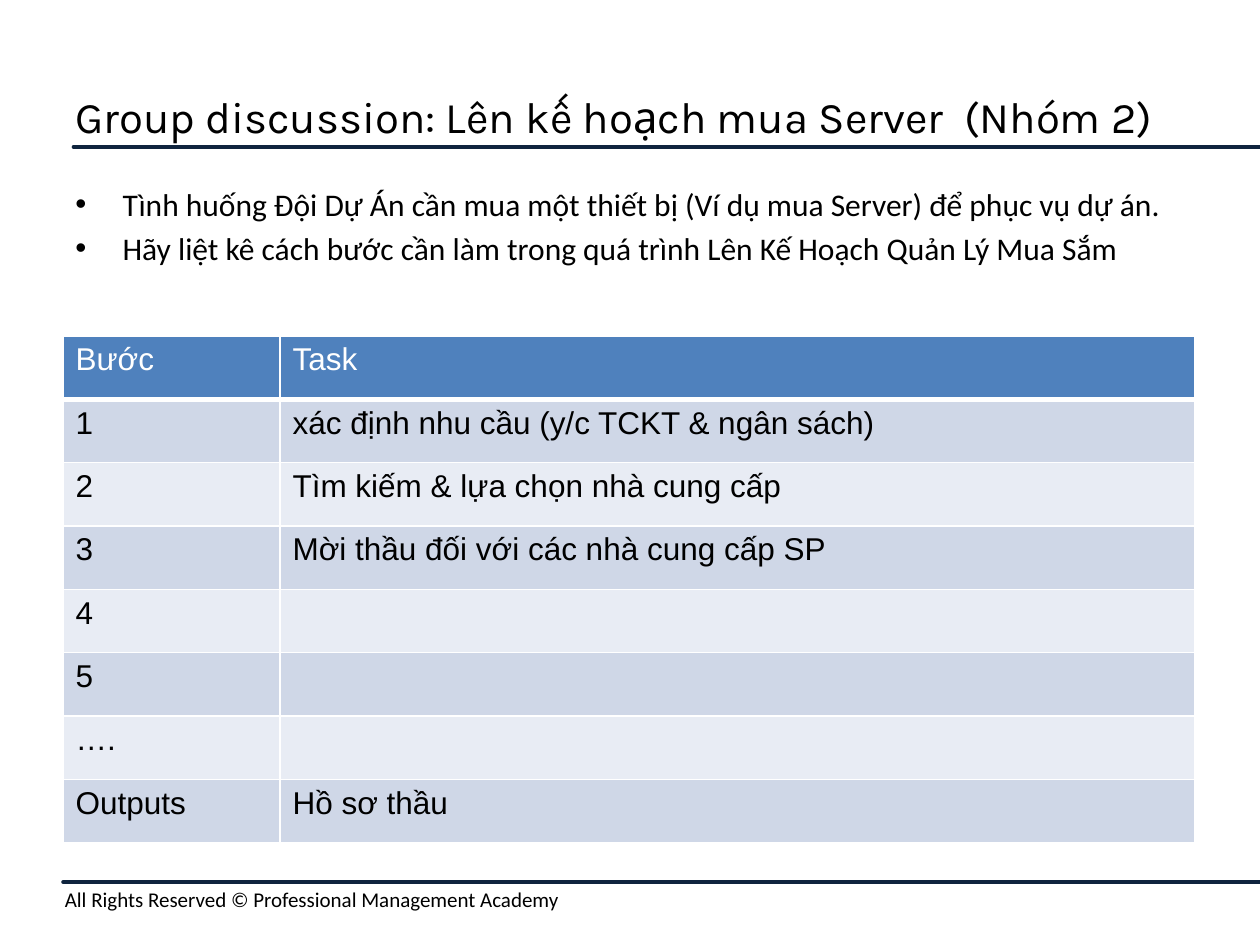
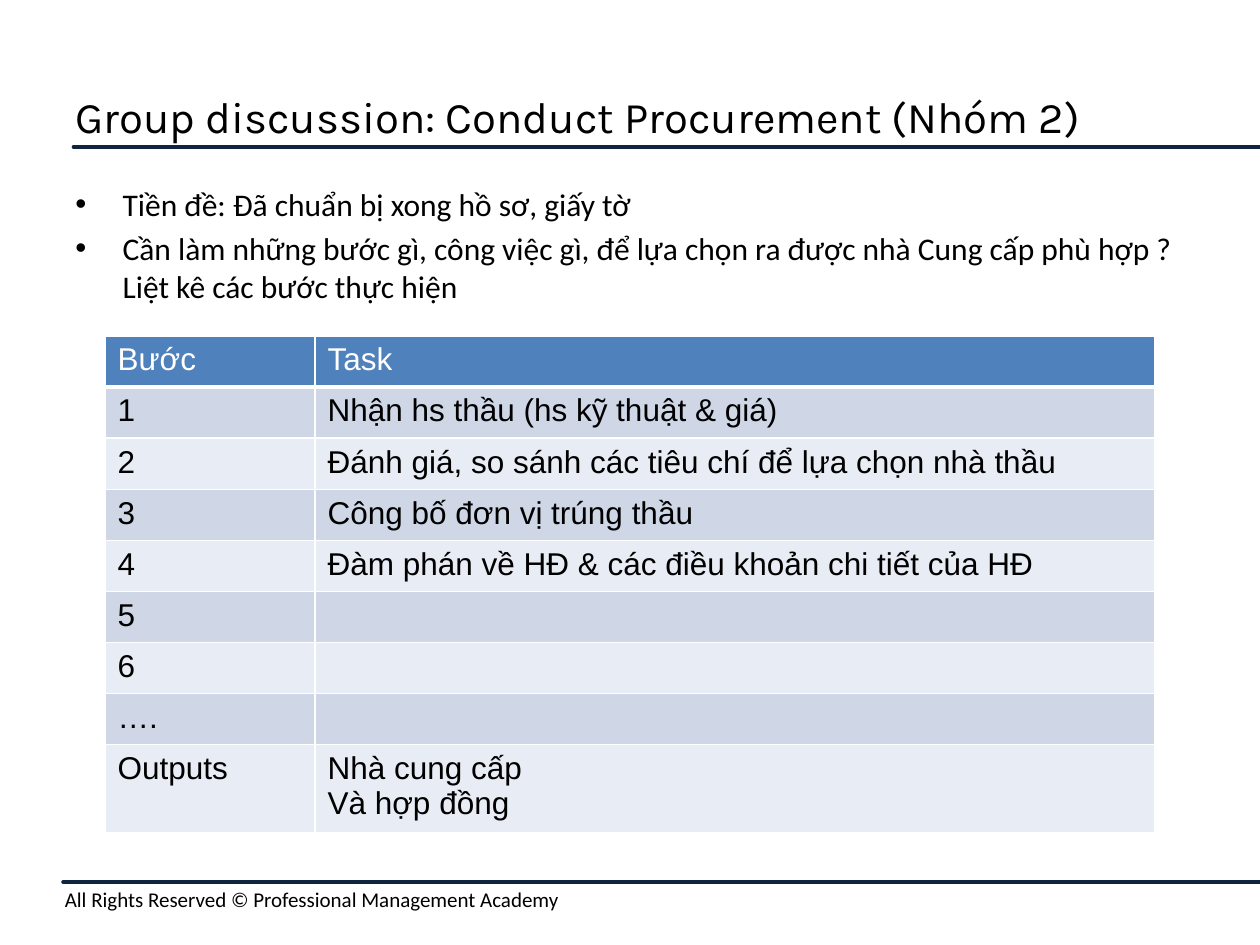
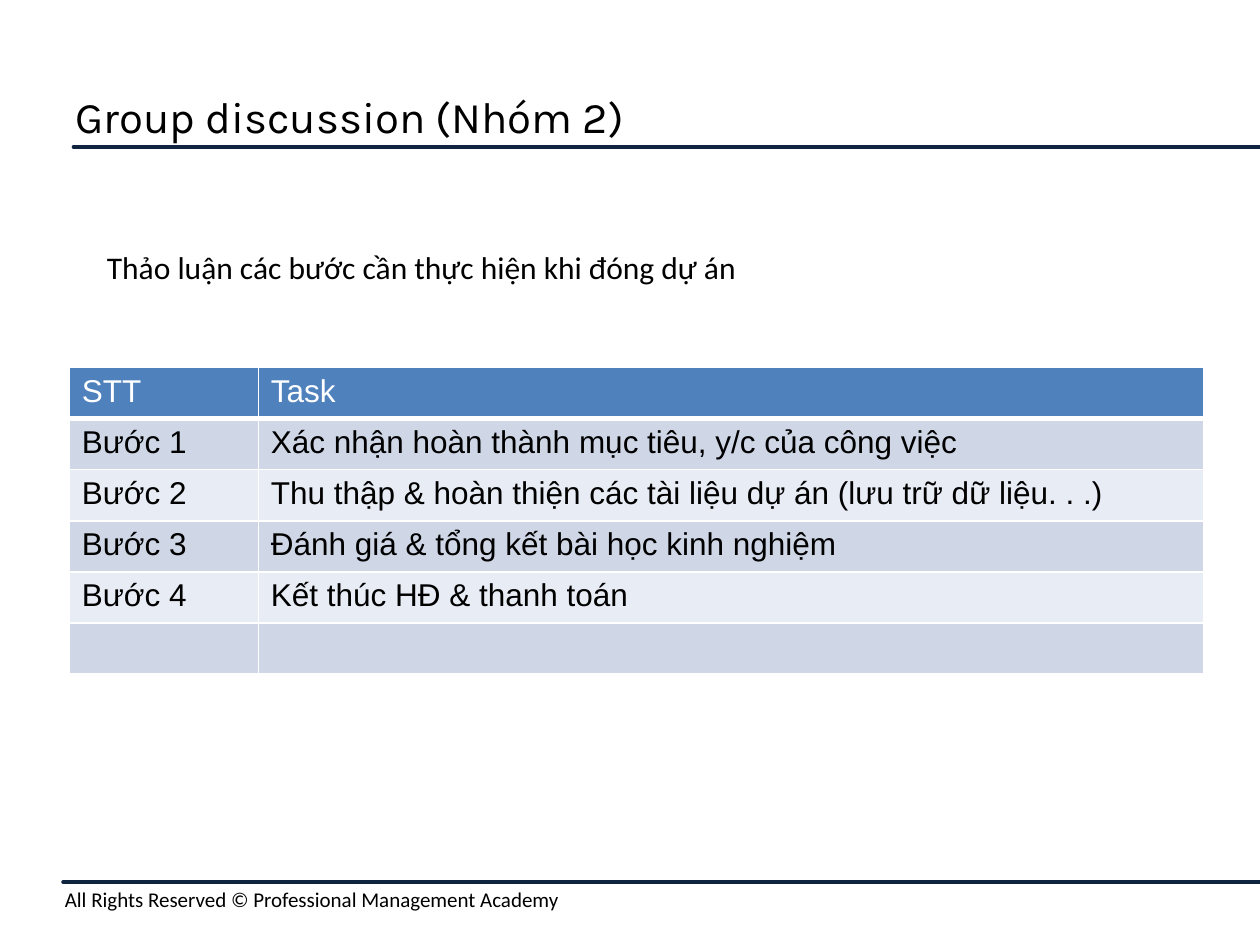
from lxml.etree import SubElement
from pptx import Presentation
from pptx.dml.color import RGBColor
from pptx.enum.shapes import MSO_CONNECTOR as Connector
from pptx.enum.text import MSO_ANCHOR as Anchor
from pptx.oxml.ns import qn
from pptx.util import Pt

SLIDE_WIDTH, SLIDE_HEIGHT = 720, 540
NAVY, BLACK, WHITE = "0F243E", "000000", "FFFFFF"
HEADER_BLUE, BANDS = "4F81BD", ("CFD7E7", "E8ECF4")
TITLE_STYLE = {"name": "Karla", "size": Pt(25)}
BODY_STYLE = {"name": "Calibri", "size": Pt(18)}
FOOTER_STYLE = {"name": "Calibri", "size": Pt(12)}
CELL_STYLE = {"name": "Arial", "size": Pt(18), "bold": False}
FOOTER = "All Rights Reserved © Professional Management Academy"


def rgb(code):
    """Turn a hex string into a colour."""
    return RGBColor.from_string(code)


def style_text(frame, style, color=BLACK):
    """Apply font values and a colour to every run."""
    for paragraph in frame.paragraphs:
        for run in paragraph.runs:
            for key, value in style.items():
                setattr(run.font, key, value)
            run.font.color.rgb = rgb(color)


def add_text(slide, text, place, style, anchor=Anchor.TOP):
    """Add wrapped text and return its frame."""
    frame = slide.shapes.add_textbox(*map(Pt, place)).text_frame
    frame.word_wrap = True
    frame.vertical_anchor = anchor
    frame.text = text
    style_text(frame, style)
    return frame


def add_rule(slide, left, y):
    """Draw a navy rule running to the right edge of the slide."""
    rule = slide.shapes.add_connector(
        Connector.STRAIGHT, Pt(left), Pt(y), Pt(SLIDE_WIDTH), Pt(y))
    rule.line.color.rgb = rgb(NAVY)
    rule.line.width = Pt(2)
    properties = rule._element.spPr
    properties.find(qn("a:ln")).set("cap", "rnd")
    SubElement(properties, qn("a:effectLst"))


def add_bullets(slide, items):
    """Add the bulleted introduction under the title."""
    frame = add_text(slide, "\n".join(items), (36, 102, 648, 380), BODY_STYLE)
    for index, paragraph in enumerate(frame.paragraphs):
        properties = paragraph._p.get_or_add_pPr()
        properties.set("marL", str(Pt(27)))
        properties.set("indent", str(-Pt(27)))
        SubElement(properties, qn("a:buFont"), typeface="Arial")
        SubElement(properties, qn("a:buChar"), char="•")
        if index:
            paragraph.space_before = Pt(3.6)


def add_borders(cell, row):
    """Give a cell white borders, thicker between header and body."""
    properties = cell._tc.get_or_add_tcPr()
    widths = {"lnL": 1, "lnR": 1, "lnT": 3 if row == 1 else 1,
              "lnB": 3 if row == 0 else 1}
    for side, width in widths.items():
        border = SubElement(properties, qn(f"a:{side}"), w=str(Pt(width)))
        fill = SubElement(border, qn("a:solidFill"))
        SubElement(fill, qn("a:srgbClr"), val=WHITE)


def add_steps(slide, rows, left, top, widths, row_height):
    """Add the banded table of steps and tasks."""
    table = slide.shapes.add_table(
        len(rows), len(widths), Pt(left), Pt(top),
        Pt(sum(widths)), Pt(row_height * len(rows))).table
    for column, width in zip(table.columns, widths):
        column.width = Pt(width)
    for r, texts in enumerate(rows):
        for c, text in enumerate(texts):
            cell = table.cell(r, c)
            add_borders(cell, r)
            cell.fill.solid()
            cell.fill.fore_color.rgb = rgb(BANDS[(r - 1) % 2] if r else HEADER_BLUE)
            cell.text_frame.text = text
            style_text(cell.text_frame, CELL_STYLE, BLACK if r else WHITE)


def add_slide(deck, title):
    """Add a slide with the shared rules, footer and title."""
    slide = deck.slides.add_slide(deck.slide_layouts[6])
    add_rule(slide, 42, 84)
    add_rule(slide, 36, 504)
    add_text(slide, FOOTER, (30, 503, 690, 22), FOOTER_STYLE)
    add_text(slide, title, (36, 36, 648, 60), TITLE_STYLE, Anchor.MIDDLE)
    return slide


def main():
    """Build the three group discussion slides."""
    deck = Presentation()
    deck.slide_width, deck.slide_height = Pt(SLIDE_WIDTH), Pt(SLIDE_HEIGHT)

    planning = add_slide(deck, "Group discussion: Lên kế hoạch mua Server  (Nhóm 2)")
    add_bullets(planning, [
        "Tình huống Đội Dự Án cần mua một thiết bị (Ví dụ mua Server) để phục vụ dự án.",
        "Hãy liệt kê cách bước cần làm trong quá trình Lên Kế Hoạch Quản Lý Mua Sắm",
    ])
    add_steps(planning, [
        ("Bước", "Task"),
        ("1", "xác định nhu cầu (y/c TCKT & ngân sách)"),
        ("2", "Tìm kiếm & lựa chọn nhà cung cấp"),
        ("3", "Mời thầu đối với các nhà cung cấp SP"),
        ("4", ""),
        ("5", ""),
        ("….", ""),
        ("Outputs", "Hồ sơ thầu"),
    ], 36, 192, (124, 523), 36.2)

    procurement = add_slide(deck, "Group discussion: Conduct Procurement (Nhóm 2)")
    add_bullets(procurement, [
        "Tiền đề: Đã chuẩn bị xong hồ sơ, giấy tờ",
        "Cần làm những bước gì, công việc gì, để lựa chọn ra được nhà Cung cấp phù hợp ? "
        "Liệt kê các bước thực hiện",
    ])
    add_steps(procurement, [
        ("Bước", "Task"),
        ("1", "Nhận hs thầu (hs kỹ thuật & giá)"),
        ("2", "Đánh giá, so sánh các tiêu chí để lựa chọn nhà thầu"),
        ("3", "Công bố đơn vị trúng thầu"),
        ("4", "Đàm phán về HĐ & các điều khoản chi tiết của HĐ"),
        ("5", ""),
        ("6", ""),
        ("….", ""),
        ("Outputs", "Nhà cung cấp\nVà hợp đồng"),
    ], 60, 192, (120, 480), 29.2)

    closing = add_slide(deck, "Group discussion (Nhóm 2)")
    add_steps(closing, [
        ("STT", "Task"),
        ("Bước 1", "Xác nhận hoàn thành mục tiêu, y/c của công việc"),
        ("Bước 2", "Thu thập & hoàn thiện các tài liệu dự án (lưu trữ dữ liệu. . .)"),
        ("Bước 3", "Đánh giá & tổng kết bài học kinh nghiệm"),
        ("Bước 4", "Kết thúc HĐ & thanh toán"),
        ("", ""),
    ], 39.6, 210, (108, 540), 29.2)
    add_text(closing, "Thảo luận các bước cần thực hiện khi đóng dự án",
             (54, 138, 418, 29), BODY_STYLE)

    deck.save("out.pptx")


if __name__ == "__main__":
    main()
